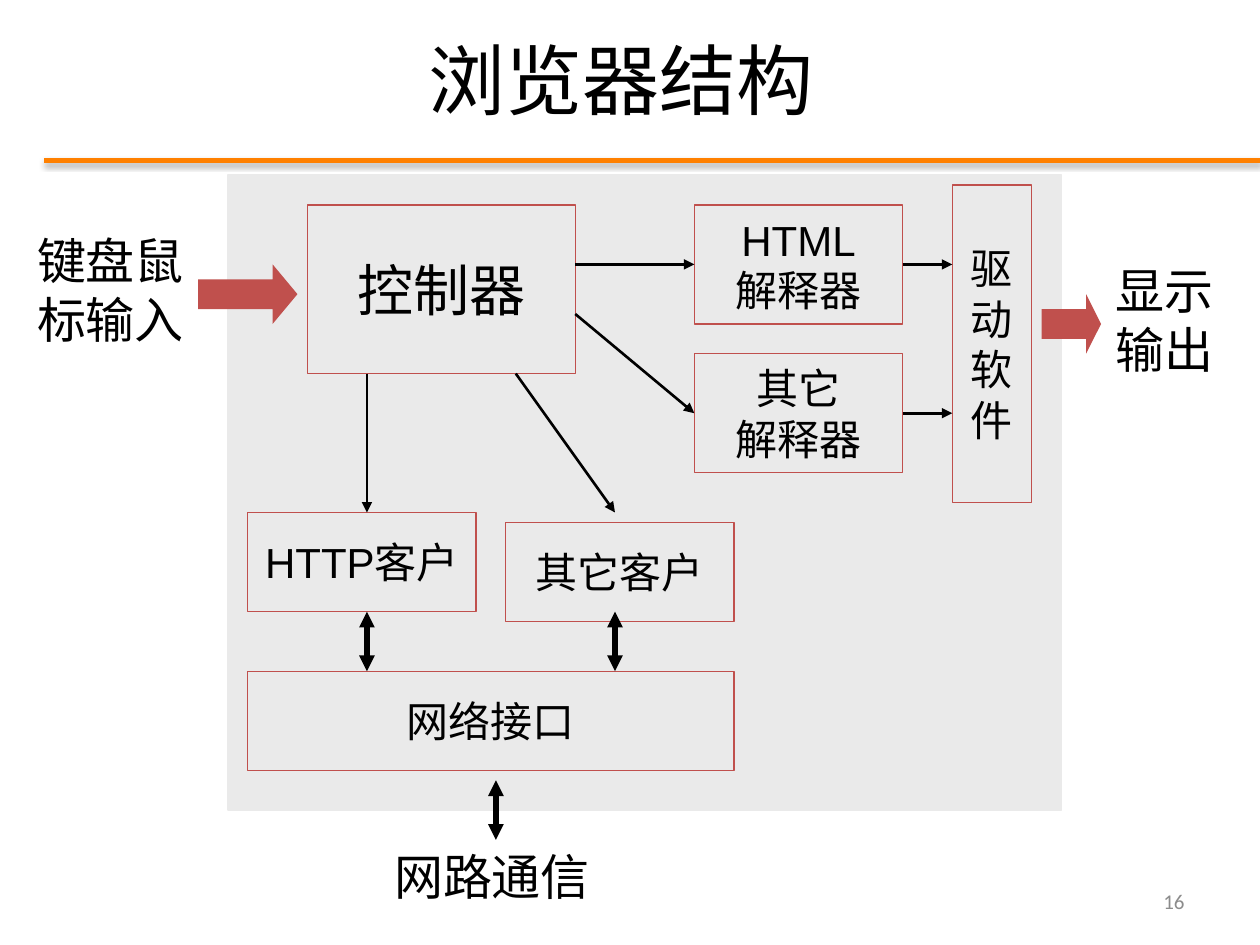
from lxml.etree import SubElement
from pptx import Presentation
from pptx.dml.color import RGBColor
from pptx.enum.shapes import MSO_CONNECTOR, MSO_SHAPE
from pptx.enum.text import MSO_ANCHOR, MSO_AUTO_SIZE, PP_ALIGN
from pptx.oxml.ns import qn
from pptx.util import Inches, Mm, Pt

COLORS = {
    "text": "000000",
    "number": "8C8C8C",
    "panel": "EAEAEA",
    "accent": "C0504D",
    "rule": "FF8000",
}

# The diagram sits on a 2 mm grid that starts at the panel's top left corner
CELL = Mm(2)
ORIGIN_X, ORIGIN_Y = Inches(1.81), Inches(1.39)

# Component boxes: text, column, row, columns, rows, font size
BOXES = [
    ("控制器", 8, 3, 27, 17, 32),
    ("HTML\n解释器", 47, 3, 21, 12, 24),
    ("其它\n解释器", 47, 18, 21, 12, 24),
    ("HTTP客户", 2, 34, 23, 10, 24),
    ("其它客户", 28, 35, 23, 10, 24),
    ("网络接口", 2, 50, 49, 10, 24),
    ("驱\n动\n软\n件", 73, 1, 8, 32, 24),
]

# Block arrows: column, row, columns, rows, head length
BLOCK_ARROWS = [(-3, 9, 10, 6, 0.416), (82, 12, 6, 6, 0.251)]

# Labels around the panel: text, column, row, columns, rows
LABELS = [
    ("键盘鼠\n标输入", -20.5, 5, 17.5, 13),
    ("显示\n输出", 88.2, 8, 12.5, 13),
    ("网路通信", 15.5, 67, 22.4, 7.2),
]

# Connections: start column and row, end column and row
TWO_WAY = [(27, 61, 27, 67), (14, 44, 14, 50), (39, 44, 39, 50)]
ONE_WAY = [
    (14, 20, 14, 34),
    (29, 20, 39, 34),
    (35, 9, 47, 9),
    (35, 14, 47, 24),
    (68, 9, 73, 9),
    (68, 24, 73, 24),
]


def color(name):
    return RGBColor.from_string(COLORS[name])


def grid_point(column, row):
    return ORIGIN_X + int(column * CELL), ORIGIN_Y + int(row * CELL)


def grid_area(column, row, columns, rows):
    return *grid_point(column, row), int(columns * CELL), int(rows * CELL)


def share_area(presentation, left, top, width, height):
    slide_width, slide_height = presentation.slide_width, presentation.slide_height
    return (int(left * slide_width), int(top * slide_height),
            int(width * slide_width), int(height * slide_height))


def apply_format(target, values):
    for name, value in values.items():
        setattr(target, name, value)


def write_text(shape, text, size, font="Arial", font_color="text",
               alignment=PP_ALIGN.CENTER, **frame_format):
    frame = shape.text_frame
    frame.text = text
    apply_format(frame, {"word_wrap": False,
                         "vertical_anchor": MSO_ANCHOR.MIDDLE, **frame_format})
    for paragraph in frame.paragraphs:
        paragraph.alignment = alignment
        apply_format(paragraph.font, {"name": font, "size": Pt(size)})
        paragraph.font.color.rgb = color(font_color)


def add_block(slide, kind, area, fill=None, line=None):
    shape = slide.shapes.add_shape(kind, *area)
    shape.shadow.inherit = False
    if fill:
        shape.fill.solid()
        shape.fill.fore_color.rgb = color(fill)
    else:
        shape.fill.background()
    if line:
        shape.line.color.rgb = color(line)
        shape.line.width = Pt(0.75)
    else:
        shape.line.fill.background()
    return shape


def add_line(slide, start, end, width, line_color="text", ends=()):
    """Draw a line and return its effect list, which starts empty."""
    connector = slide.shapes.add_connector(MSO_CONNECTOR.STRAIGHT, *start, *end)
    connector.line.color.rgb = color(line_color)
    connector.line.width = Pt(width)
    outline = connector.line._get_or_add_ln()
    for end_name in ends:
        SubElement(outline, qn(f"a:{end_name}"), type="triangle")
    return SubElement(connector._element.spPr, qn("a:effectLst"))


def add_soft_shadow(effects):
    shadow = SubElement(effects, qn("a:outerShdw"), blurRad=str(Pt(3.1)),
                        dist=str(Pt(1.8)), dir="5400000", rotWithShape="0")
    shade = SubElement(shadow, qn("a:srgbClr"), val=COLORS["text"])
    SubElement(shade, qn("a:alpha"), val="35000")


def add_label(slide, area, text, size, **text_format):
    write_text(slide.shapes.add_textbox(*area), text, size, **text_format)


def main():
    presentation = Presentation()
    apply_format(presentation, {"slide_width": Inches(10), "slide_height": Inches(7.5)})
    slide = presentation.slides.add_slide(presentation.slide_layouts[6])

    # Slide number, panel and title
    add_label(slide, share_area(presentation, 0.717, 0.927, 0.233, 0.053), "16", 12,
              font="Calibri", font_color="number", alignment=PP_ALIGN.RIGHT,
              word_wrap=True)
    add_block(slide, MSO_SHAPE.RECTANGLE, grid_area(0, 0, 84, 64), "panel", "panel")
    add_label(slide, share_area(presentation, 0.043, 0, 0.9, 0.167), "浏览器结构", 44,
              font="Calibri", word_wrap=True)

    # Components
    for text, *cells, size in BOXES:
        box = add_block(slide, MSO_SHAPE.RECTANGLE, grid_area(*cells), line="accent")
        write_text(box, text, size)

    # Input and output
    for *cells, head in BLOCK_ARROWS:
        arrow = add_block(slide, MSO_SHAPE.RIGHT_ARROW, grid_area(*cells), "accent")
        arrow.adjustments[1] = head
    for text, *cells in LABELS:
        add_label(slide, grid_area(*cells), text, 28, alignment=PP_ALIGN.LEFT,
                  vertical_anchor=MSO_ANCHOR.TOP,
                  auto_size=MSO_AUTO_SIZE.SHAPE_TO_FIT_TEXT)

    # Connections
    for routes, width, ends in ((TWO_WAY, 3, ("headEnd", "tailEnd")),
                                (ONE_WAY, 1.5, ("tailEnd",))):
        for route in routes:
            add_line(slide, grid_point(*route[:2]), grid_point(*route[2:]),
                     width, ends=ends)

    # Rule under the title
    left, top, width, _ = share_area(presentation, 0.035, 0.17, 0.965, 0)
    add_soft_shadow(add_line(slide, (left, top), (left + width, top), 3, "rule"))

    presentation.save("out.pptx")


if __name__ == "__main__":
    main()
